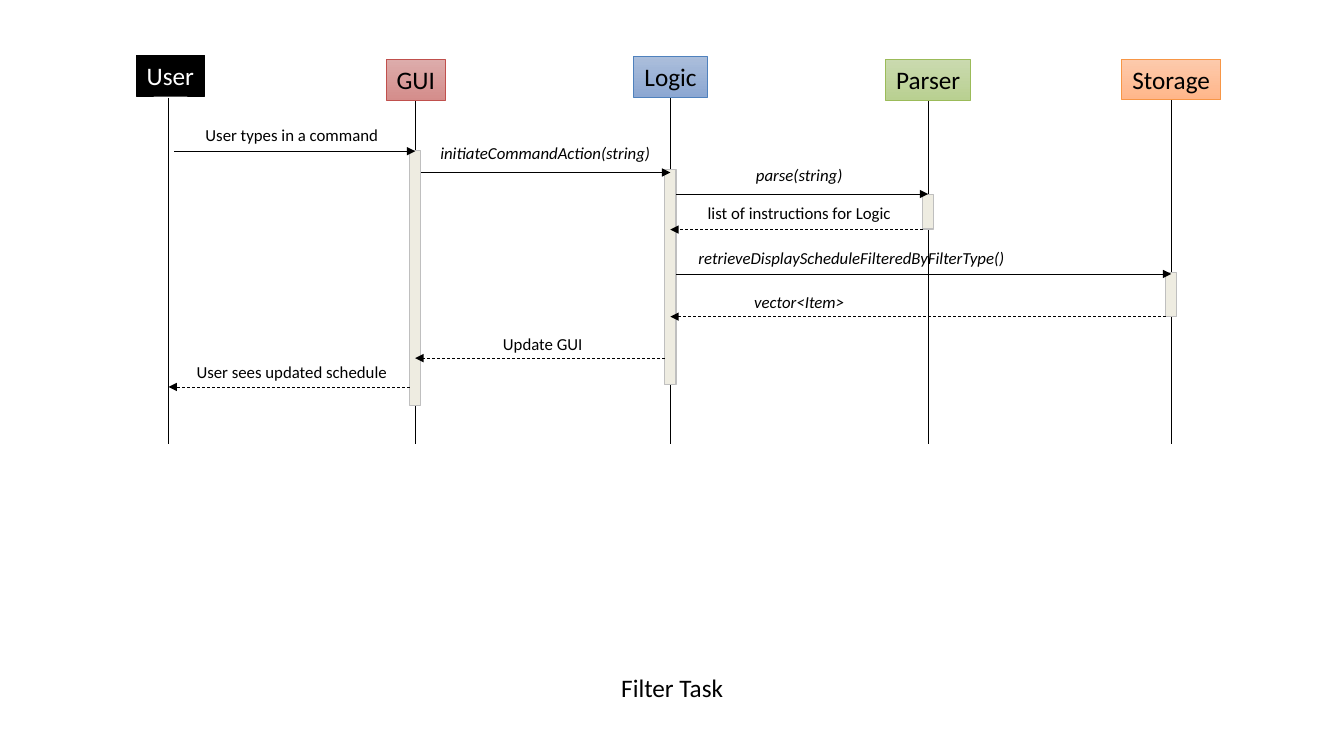
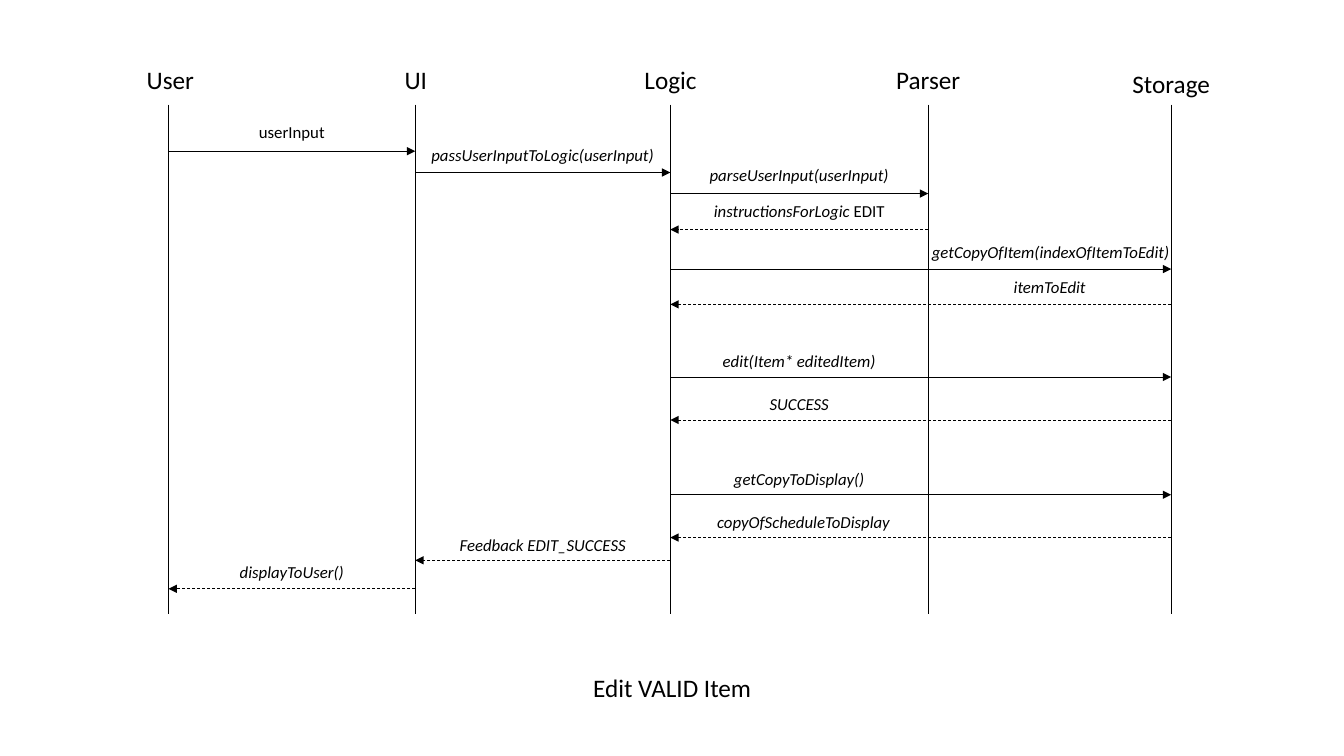
"""Build two sequence diagrams as slides."""
from lxml import etree
from pptx import Presentation
from pptx.dml.color import RGBColor
from pptx.enum.dml import MSO_LINE
from pptx.enum.shapes import MSO_CONNECTOR, MSO_SHAPE
from pptx.enum.text import MSO_ANCHOR, PP_ALIGN
from pptx.oxml.ns import qn
from pptx.util import Pt

RECT = MSO_SHAPE.RECTANGLE
LINE = MSO_CONNECTOR.STRAIGHT
DASH = MSO_LINE.DASH
MID = MSO_ANCHOR.MIDDLE
CENTER = PP_ALIGN.CENTER

FONT = "Calibri"
BLACK, WHITE = "000000", "FFFFFF"
BAR_FILL, BAR_LINE = "EEECE1", "BFBFBF"
THIN = 0.5
BAR_WIDTH = 8
HEAD_HIGH = 29

USER, GUI, LOGIC, PARSER, STORE = range(5)
LANES = [120.4, 296.6, 478.8, 663, 836.6]
MIDS = [121.7, 297, 479, 663, 836.6]

FILTER_HEADS = [
    ("User", 39.6, 49, BLACK, BLACK, BLACK, WHITE),
    ("GUI", 42.5, 42.5, "DDACAB", "D48D8B", "C0504D", BLACK),
    ("Logic", 40.4, 52.5, "ABBEDB", "8CA7D2", "4F81BD", BLACK),
    ("Parser", 42.5, 60.5, "CADAAF", "B9D091", "9BBB59", BLACK),
    ("Storage", 42.3, 70.6, "FDCAAC", "FFB68A", "F79646", BLACK),
]
FILTER_BARS = [
    (GUI, 107.5, 182),
    (LOGIC, 121, 153.5),
    (PARSER, 139, 24.5),
    (STORE, 194.5, 31.7),
]
FILTER_CALLS = [
    (USER, GUI, 108, 85.7, 1, "", "User types in a command"),
    (GUI, LOGIC, 123.2, 98.6, 1, "initiateCommandAction(string)", "", (294.5, 190)),
    (LOGIC, PARSER, 138.6, 113.8, 1, "parse(string)", ""),
    (PARSER, LOGIC, 164, 141, 1, "", "list of instructions for Logic"),
    (LOGIC, STORE, 195.7, 166.3, 1.5,
     "retrieveDisplayScheduleFilteredByFilterType()", "", (478.8, 259)),
    (STORE, LOGIC, 226.2, 198, 1.5, "vector<Item>", ""),
    (LOGIC, GUI, 255.8, 227.5, 1.5, "", "Update GUI"),
    (GUI, USER, 276.4, 247.7, 1.5, "", "User sees updated schedule"),
]
EDIT_HEADS = [
    ("User", 42.5, 49),
    ("UI", 42.5, 31),
    ("Logic", 42.5, 52.5),
    ("Parser", 42.5, 60.5),
    ("Storage", 44.8, 70.6),
]
EDIT_CALLS = [
    (USER, GUI, 108, 83.5, 1, "", "userInput"),
    (GUI, LOGIC, 123.2, 100, 1, "passUserInputToLogic(userInput)", ""),
    (LOGIC, PARSER, 138.3, 113.8, 1, "parseUserInput(userInput)", ""),
    (PARSER, LOGIC, 164, 139.7, 1, "instructionsForLogic ", "EDIT"),
    (LOGIC, STORE, 192.2, 169.2, 1, "getCopyOfItem(indexOfItemToEdit)", "", (658, 185)),
    (STORE, LOGIC, 217.4, 194.4, 1, "itemToEdit", "", (663, 173.6)),
    (LOGIC, STORE, 269.3, 239.8, 1.5, "edit(Item* editedItem)", ""),
    (STORE, LOGIC, 300, 270.7, 1.5, "SUCCESS", ""),
    (LOGIC, STORE, 353.4, 324, 1.5, "getCopyToDisplay()", ""),
    (STORE, LOGIC, 384, 355, 1.5, "copyOfScheduleToDisplay", "", (502, 144)),
    (LOGIC, GUI, 400.2, 371.5, 1.5, "Feedback EDIT_SUCCESS", ""),
    (GUI, USER, 420.6, 390.2, 1.5, "displayToUser()", ""),
]


def tint(value):
    """Return the colour for a hex string."""
    return RGBColor.from_string(value)


def style(run, size, color=BLACK, slant=False):
    """Format one run."""
    run.font.name = FONT
    run.font.size = Pt(size)
    run.font.italic = slant
    run.font.color.rgb = tint(color)


def write(shape, text, color=BLACK):
    """Put a centred large line of text into a shape."""
    frame = shape.text_frame
    frame.text = text
    frame.word_wrap = False
    frame.vertical_anchor = MID
    para = frame.paragraphs[0]
    para.alignment = CENTER
    style(para.runs[0], 18, color)


def add_text(slide, text, mid, top, width):
    """Add a large text centred on a position."""
    box = slide.shapes.add_textbox(Pt(mid - width / 2), Pt(top), Pt(width), Pt(HEAD_HIGH))
    write(box, text)


def add_box(slide, left, top, width, height, edge, weight):
    """Add an outlined rectangle without a shadow."""
    box = slide.shapes.add_shape(RECT, Pt(left), Pt(top), Pt(width), Pt(height))
    box.shadow.inherit = False
    box.line.color.rgb = tint(edge)
    box.line.width = Pt(weight)
    return box


def add_head(slide, mid, text, top, width, light, dark, edge, color):
    """Add a lane head with a shaded fill."""
    box = add_box(slide, mid - width / 2, top, width, HEAD_HIGH, edge, THIN)
    box.fill.gradient()
    box.fill.gradient_angle = 270
    for stop, value, place in zip(box.fill.gradient_stops, (light, dark), (0, 1)):
        stop.color.rgb = tint(value)
        stop.position = place
    write(box, text, color)


def add_bar(slide, lane, top, height):
    """Add an activity bar on a lane."""
    left = LANES[lane] - BAR_WIDTH / 2
    bar = add_box(slide, left, top, BAR_WIDTH, height, BAR_LINE, 1)
    bar.fill.solid()
    bar.fill.fore_color.rgb = tint(BAR_FILL)


def add_line(slide, x1, y1, x2, y2):
    """Add a thin black line."""
    line = slide.shapes.add_connector(LINE, Pt(x1), Pt(y1), Pt(x2), Pt(y2))
    line.line.color.rgb = tint(BLACK)
    line.line.width = Pt(THIN)
    etree.SubElement(line._element.spPr, qn("a:effectLst"))
    return line


def add_arrow(slide, start, end, y):
    """Add a call arrow, dashed when it runs back to the left."""
    arrow = add_line(slide, start, y, end, y)
    if end < start:
        arrow.line.dash_style = DASH
    etree.SubElement(arrow.line._get_or_add_ln(), qn("a:tailEnd"), type="triangle")


def add_label(slide, left, top, width, gap, slant, plain):
    """Add a small label with an italic and an upright part."""
    box = slide.shapes.add_textbox(Pt(left), Pt(top), Pt(width), Pt(14.4 * gap + 7.2))
    frame = box.text_frame
    frame.word_wrap = True
    para = frame.paragraphs[0]
    para.alignment = CENTER
    para.line_spacing = gap
    for text, tilt in ((slant, True), (plain, False)):
        if text:
            run = para.add_run()
            run.text = text
            style(run, 12, slant=tilt)


def add_call(slide, inset, source, target, y, top, gap, slant, plain, span=None):
    """Add an arrow between two lanes and its label."""
    start, end = LANES[source], LANES[target]
    shift = inset if end > start else -inset
    add_arrow(slide, start + shift, end, y)
    first = min(source, target)
    left, width = span or (LANES[first], LANES[first + 1] - LANES[first])
    add_label(slide, left, top, width, gap, slant, plain)


def add_lanes(slide, top, end):
    """Add the life lines."""
    for x in LANES:
        add_line(slide, x, top, x, end)


def add_calls(slide, calls, inset):
    """Add all calls of a diagram."""
    for call in calls:
        add_call(slide, inset, *call)


def add_title(slide, text):
    """Add the diagram name at the foot."""
    add_text(slide, text, 480.2, 476.6, 130)


def main():
    """Build and save the deck."""
    deck = Presentation()
    deck.slide_width, deck.slide_height = Pt(960), Pt(540)
    blank = deck.slide_layouts[6]

    slide = deck.slides.add_slide(blank)
    add_lanes(slide, 70, 317.5)
    for mid, head in zip(MIDS, FILTER_HEADS):
        add_head(slide, mid, *head)
    for bar in FILTER_BARS:
        add_bar(slide, *bar)
    add_calls(slide, FILTER_CALLS, BAR_WIDTH / 2)
    add_title(slide, "Filter Task")

    slide = deck.slides.add_slide(blank)
    add_lanes(slide, 74.7, 438.3)
    for mid, (text, top, width) in zip(MIDS, EDIT_HEADS):
        add_text(slide, text, mid, top, width)
    add_calls(slide, EDIT_CALLS, 0)
    add_title(slide, "Edit VALID Item")

    deck.save("out.pptx")


if __name__ == "__main__":
    main()
